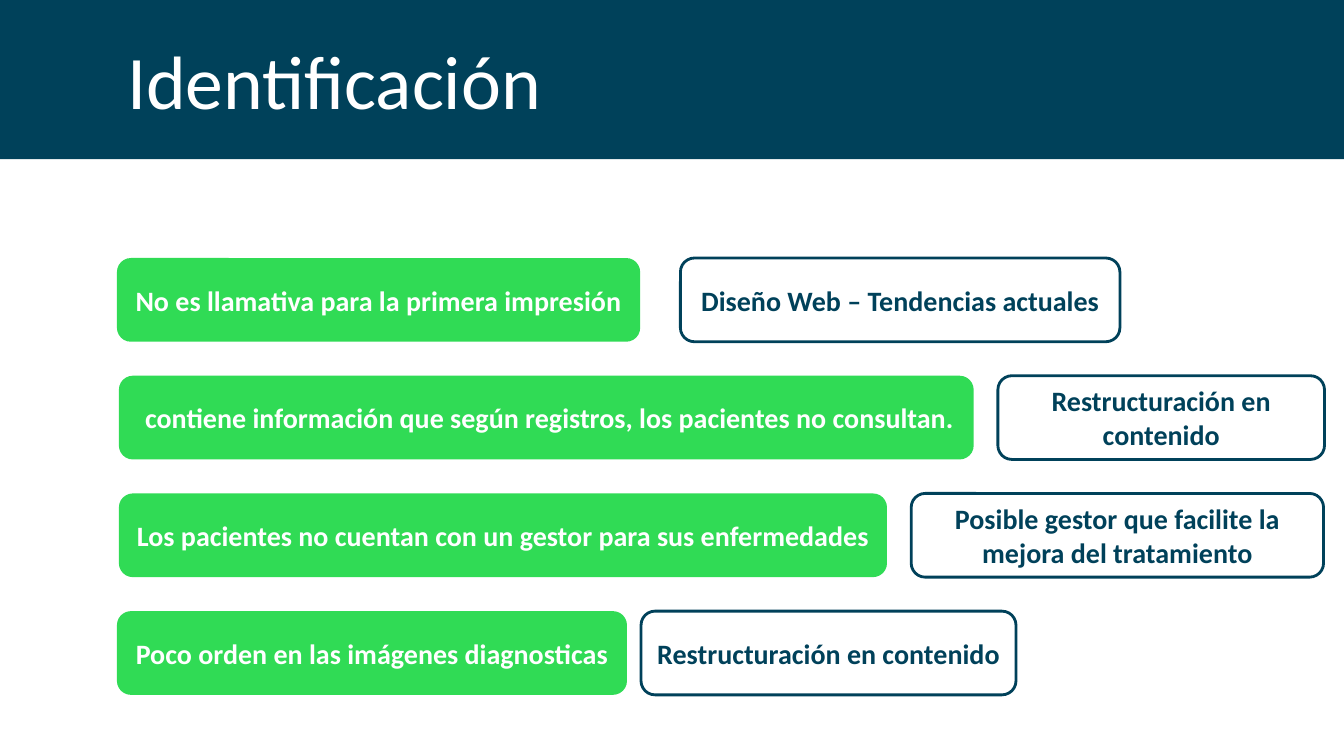
from dataclasses import dataclass

from pptx import Presentation
from pptx import util as u
from pptx.dml.color import RGBColor
from pptx.enum import shapes, text

NAVY, GREEN, WHITE = "00415A", "30DB55", "FFFFFF"
FIRST_ROW, ROW_PITCH, BOX_ROWS = 34.13, 15.57, 11.07

deck = Presentation()
deck.slide_width, deck.slide_height = u.Inches(13.33), u.Inches(7.5)


@dataclass(frozen=True)
class Box:
    wording: str
    column: float
    columns: float


@dataclass(frozen=True)
class Finding:
    problem: Box
    response: Box


FINDINGS = [
    Finding(Box("No es llamativa para la primera impresión", 8.7, 38.93),
            Box("Diseño Web – Tendencias actuales", 50.63, 32.7)),
    Finding(Box(" contiene información que según registros, los pacientes no consultan.", 8.85, 63.6),
            Box("Restructuración en contenido", 74.25, 24.3)),
    Finding(Box("Los pacientes no cuentan con un gestor para sus enfermedades", 8.85, 57.15),
            Box("Posible gestor que facilite la mejora del tratamiento", 67.8, 30.68)),
    Finding(Box("Poco orden en las imágenes diagnosticas", 8.7, 37.95),
            Box("Restructuración en contenido", 47.7, 27.9)),
]


def colour(value: str) -> RGBColor:
    return RGBColor.from_string(value)


def area(column: float, row: float, columns: float, rows: float) -> tuple[int, int, int, int]:
    """Turn hundredths of the slide's width and height into a position and size."""
    return (round(deck.slide_width * column / 100), round(deck.slide_height * row / 100),
            round(deck.slide_width * columns / 100), round(deck.slide_height * rows / 100))


def apply(target, values: dict) -> None:
    for name, value in values.items():
        setattr(target, name, value)


def write(shape, wording: str, ink: str, font: dict, align, anchor) -> None:
    frame = shape.text_frame
    apply(frame, {"text": wording, "word_wrap": True, "vertical_anchor": anchor,
                  "auto_size": text.MSO_AUTO_SIZE.NONE})
    paragraph = frame.paragraphs[0]
    paragraph.alignment = align
    run_font = paragraph.runs[0].font
    apply(run_font, {"name": "Calibri", **font})
    run_font.color.rgb = colour(ink)


def add_panel(slide, kind, place: tuple[int, int, int, int], fill: str, outline: str | None = None):
    panel = slide.shapes.add_shape(kind, *place)
    panel.shadow.inherit = False
    panel.fill.solid()
    panel.fill.fore_color.rgb = colour(fill)
    if outline:
        panel.line.color.rgb = colour(outline)
        panel.line.width = u.Pt(2)
    else:
        panel.line.fill.background()
    return panel


def add_box(slide, box: Box, row: float, fill: str, ink: str, outline: str | None = None) -> None:
    panel = add_panel(slide, shapes.MSO_SHAPE.ROUNDED_RECTANGLE,
                      area(box.column, row, box.columns, BOX_ROWS), fill, outline)
    write(panel, box.wording, ink, {"size": u.Pt(20), "bold": True},
          text.PP_ALIGN.CENTER, text.MSO_ANCHOR.MIDDLE)


def add_heading(slide, wording: str) -> None:
    band = add_panel(slide, shapes.MSO_SHAPE.RECTANGLE, area(0, 0, 100, 21.07), NAVY)
    title = slide.shapes.title
    title._element.addprevious(band._element)  # the band lies behind the title
    apply(title, dict(zip(("left", "top", "width", "height"), area(8.7, 3.87, 59.1, 13.47))))
    write(title, wording, WHITE, {"size": u.Pt(54)}, text.PP_ALIGN.LEFT, text.MSO_ANCHOR.TOP)


def main() -> None:
    slide = deck.slides.add_slide(deck.slide_layouts.get_by_name("Title Only"))
    add_heading(slide, "Identificación")
    for index, finding in enumerate(FINDINGS):
        row = FIRST_ROW + index * ROW_PITCH
        add_box(slide, finding.problem, row, GREEN, WHITE)
        add_box(slide, finding.response, row, WHITE, NAVY, NAVY)
    deck.save("out.pptx")


if __name__ == "__main__":
    main()
